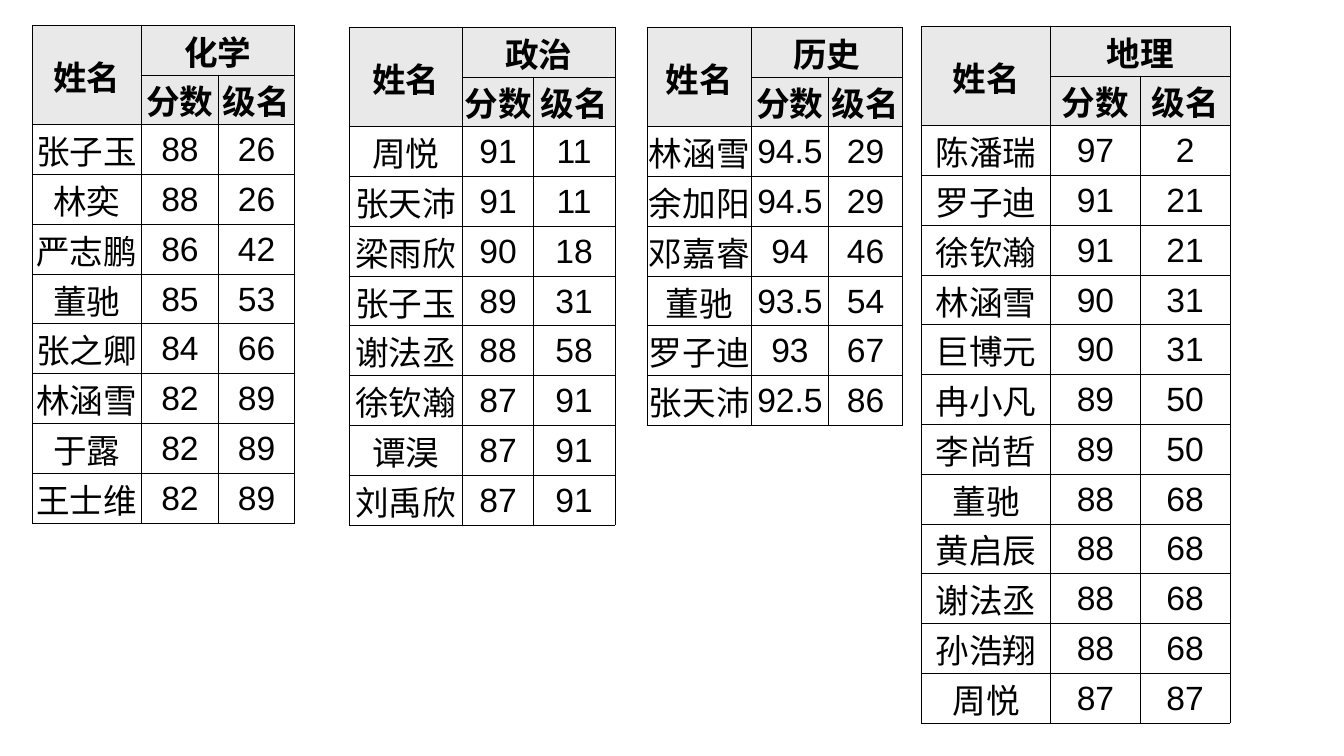
from lxml import etree
from pptx import Presentation
from pptx.dml.color import RGBColor
from pptx.enum.text import MSO_VERTICAL_ANCHOR as Anchor, PP_PARAGRAPH_ALIGNMENT as Align
from pptx.oxml.ns import qn
from pptx.util import Inches, Pt

BLACK = RGBColor(0x00, 0x00, 0x00)
HEADER_GREY = RGBColor(0xE9, 0xE9, 0xE9)
LATIN_FONT = "Arial"
CHINESE_FONT = "Noto Sans CJK SC"
ROW_HEIGHT = 0.49
HEADER_ROWS = 2

SUBJECTS = [
    ("化学", 0.32, 0.25, (1.08, 0.77, 0.75), [
        ("张子玉", "88", "26"), ("林奕", "88", "26"), ("严志鹏", "86", "42"),
        ("董驰", "85", "53"), ("张之卿", "84", "66"), ("林涵雪", "82", "89"),
        ("于露", "82", "89"), ("王士维", "82", "89"),
    ]),
    ("历史", 6.42, 0.27, (1.03, 0.77, 0.73), [
        ("林涵雪", "94.5", "29"), ("余加阳", "94.5", "29"), ("邓嘉睿", "94", "46"),
        ("董驰", "93.5", "54"), ("罗子迪", "93", "67"), ("张天沛", "92.5", "86"),
    ]),
    ("地理", 9.14, 0.26, (1.28, 0.89, 0.89), [
        ("陈潘瑞", "97", "2"), ("罗子迪", "91", "21"), ("徐钦瀚", "91", "21"),
        ("林涵雪", "90", "31"), ("巨博元", "90", "31"), ("冉小凡", "89", "50"),
        ("李尚哲", "89", "50"), ("董驰", "88", "68"), ("黄启辰", "88", "68"),
        ("谢法丞", "88", "68"), ("孙浩翔", "88", "68"), ("周悦", "87", "87"),
    ]),
    ("政治", 3.46, 0.27, (1.13, 0.7, 0.81), [
        ("周悦", "91", "11"), ("张天沛", "91", "11"), ("梁雨欣", "90", "18"),
        ("张子玉", "89", "31"), ("谢法丞", "88", "58"), ("徐钦瀚", "87", "91"),
        ("谭淏", "87", "91"), ("刘禹欣", "87", "91"),
    ]),
]


def add_borders(cell):
    properties = cell._tc.get_or_add_tcPr()
    for side in ("a:lnL", "a:lnR", "a:lnT", "a:lnB"):
        line = etree.SubElement(properties, qn(side), w=str(Pt(0.5)))
        fill = etree.SubElement(line, qn("a:solidFill"))
        etree.SubElement(fill, qn("a:srgbClr"), val=str(BLACK))


def format_cell(cell, text, is_header):
    add_borders(cell)
    if is_header:
        cell.fill.solid()
        cell.fill.fore_color.rgb = HEADER_GREY
    else:
        cell.fill.background()
    cell.margin_left = cell.margin_right = cell.margin_top = Inches(0.01)
    cell.margin_bottom = 0
    cell.vertical_anchor = Anchor.MIDDLE
    cell.text = text
    paragraph = cell.text_frame.paragraphs[0]
    paragraph.alignment = Align.CENTER
    font = paragraph.font
    font.size = Pt(24)
    font.bold = is_header
    font.color.rgb = BLACK
    font.name = CHINESE_FONT if text == "姓名" else LATIN_FONT
    defaults = paragraph._p.pPr.find(qn("a:defRPr"))
    etree.SubElement(defaults, qn("a:ea"), typeface=CHINESE_FONT)


def add_score_table(slide, subject, left, top, widths, students):
    rows = [("姓名", subject, ""), ("", "分数", "级名"), *students]
    frame = slide.shapes.add_table(
        len(rows), len(widths), Inches(left), Inches(top),
        Inches(sum(widths)), Inches(ROW_HEIGHT * len(rows)))
    table = frame.table
    table.first_row = table.horz_banding = False
    for column, width in zip(table.columns, widths):
        column.width = Inches(width)
    for row_index, values in enumerate(rows):
        table.rows[row_index].height = Inches(ROW_HEIGHT)
        for column_index, text in enumerate(values):
            format_cell(table.cell(row_index, column_index), text, row_index < HEADER_ROWS)
    table.cell(0, 0).merge(table.cell(1, 0))
    table.cell(0, 1).merge(table.cell(0, 2))


def main():
    presentation = Presentation()
    presentation.slide_width = Inches(13.33)
    presentation.slide_height = Inches(7.5)
    slide = presentation.slides.add_slide(presentation.slide_layouts[6])
    for subject in SUBJECTS:
        add_score_table(slide, *subject)
    presentation.save("out.pptx")


if __name__ == "__main__":
    main()
